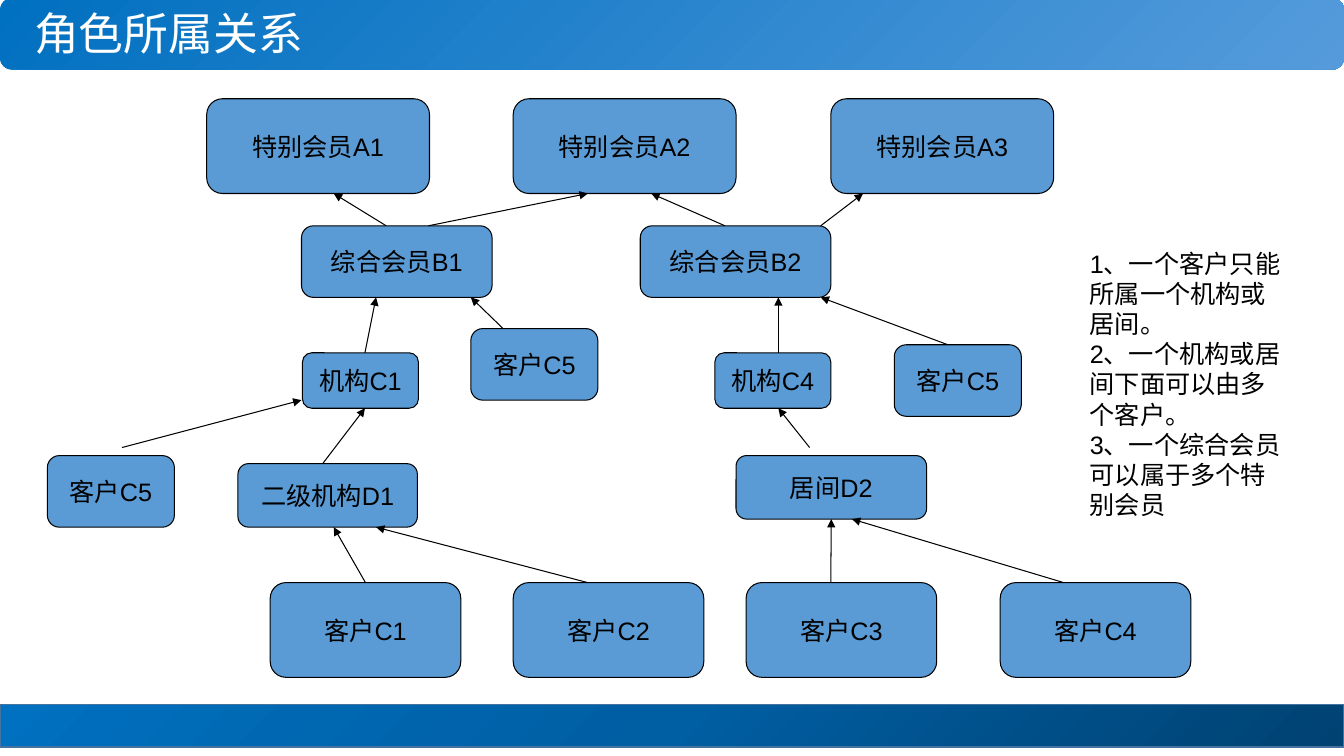
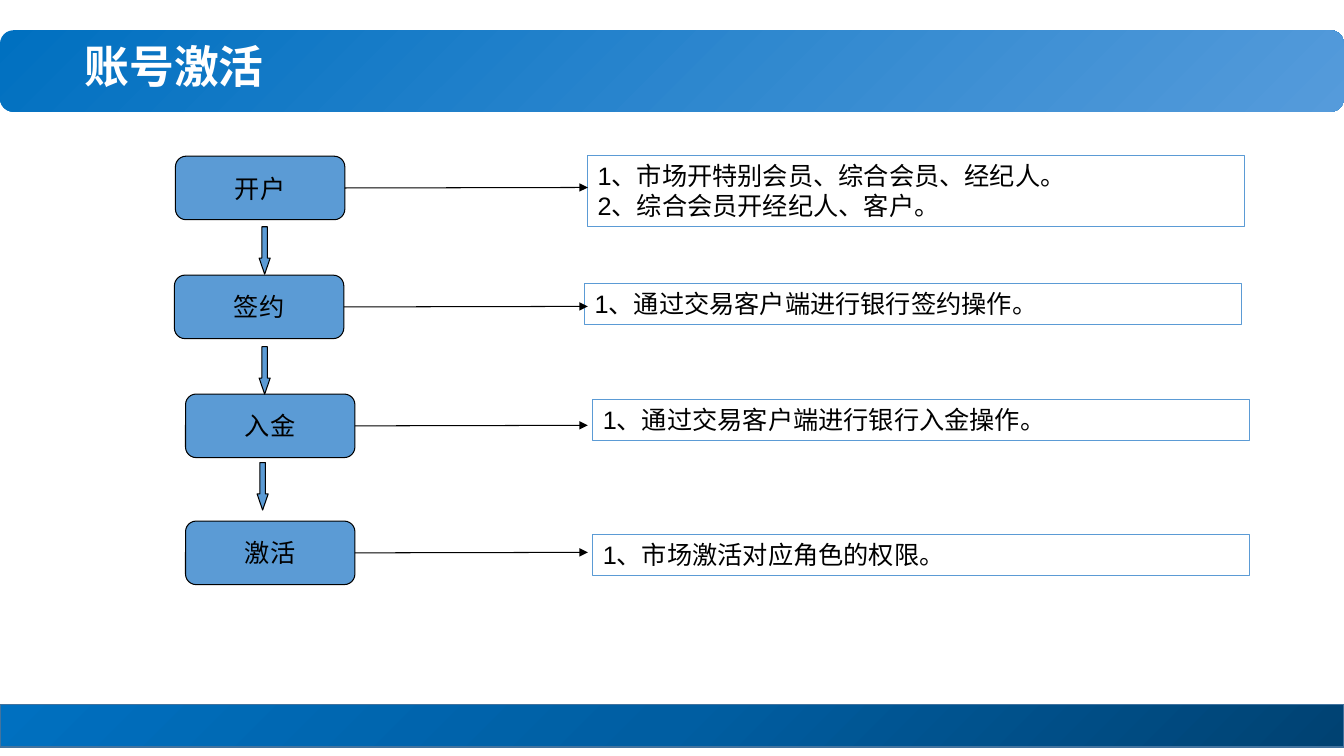
from lxml import etree
from pptx import Presentation
from pptx import util as u
from pptx.dml.color import RGBColor
from pptx.enum import shapes, text
from pptx.oxml import ns

PX = 9144  # 100 px to the inch
SLIDE_WIDTH, SLIDE_HEIGHT = 1333, 750
BLUE, BLACK, WHITE, FOOTER_EDGE = "5B9BD5", "000000", "FFFFFF", "43739E"
BAND_STOPS = [(0, "0070C0"), (100, "559BDB")]
FOOTER_STOPS = [(0, "004272"), (50, "005EA2"), (100, "0070C0")]
BAND_DIRECTION = '<a:lin ang="2700000" scaled="0"/>'
FOOTER_DIRECTION = '<a:path path="circle"><a:fillToRect l="100000" t="100000"/></a:path>'
FONT, TITLE_FONT = "Arial", "Calibri"
JOIN_DISTANCE = 2

# Rows of role boxes: top, width, height, then (label, left)
ROLE_ROWS = [
    (98, 221, 94, [("特别会员A1", 205), ("特别会员A2", 509), ("特别会员A3", 824)]),
    (224, 189, 71, [("综合会员B1", 299), ("综合会员B2", 635)]),
    (350, 115, 55, [("机构C1", 300), ("机构C4", 709)]),
    (460, 178, 63, [("二级机构D1", 236)]),
    (452, 189, 63, [("居间D2", 730)]),
    (578, 189, 94, [("客户C1", 268), ("客户C2", 509), ("客户C3", 740), ("客户C4", 992)]),
    (326, 126, 71, [("客户C5", 467)]),
    (452, 126, 71, [("客户C5", 47)]),
    (342, 126, 71, [("客户C5", 887)]),
]
ROLE_ARROWS = [
    (362, 578, 331, 523), (583, 578, 373, 523), (824, 578, 824, 515), (1055, 578, 845, 515),
    (320, 460, 362, 405), (121, 444, 299, 397), (803, 444, 772, 405),
    (362, 350, 373, 295), (499, 326, 467, 295), (772, 350, 772, 295), (940, 342, 814, 295),
    (383, 224, 331, 192), (425, 224, 583, 192), (719, 224, 646, 192), (814, 224, 856, 192),
]
ROLE_RULES = [
    "1、一个客户只能所属一个机构或居间。",
    "2、一个机构或居间下面可以由多个客户。",
    "3、一个综合会员可以属于多个特别会员",
]

# Step, box left and top, note left, top and height, note lines
STEP_SIZE, NOTE_WIDTH, ARROW_END = (168, 63), 651, 583
STEPS = [
    ("开户", 174, 155, 583, 154, 71,
     ["1、市场开特别会员、综合会员、经纪人。", "2、综合会员开经纪人、客户。"]),
    ("签约", 173, 273, 580, 281, 41, ["1、通过交易客户端进行银行签约操作。"]),
    ("入金", 184, 391, 588, 396, 41, ["1、通过交易客户端进行银行入金操作。"]),
    ("激活", 184, 517, 588, 530, 41, ["1、市场激活对应角色的权限。"]),
]
DOWN_ARROWS = [(257, 225), (257, 344), (255, 459)]


def color(value):
    return RGBColor.from_string(value)


def px(*lengths):
    return [u.Emu(length * PX) for length in lengths]


def add_shape(slide, kind, box, fill=None, line=None, weight=0.75):
    shape = slide.shapes.add_shape(kind, *px(*box))
    shape.shadow.inherit = False
    if fill:
        shape.fill.solid()
        shape.fill.fore_color.rgb = color(fill)
    else:
        shape.fill.background()
    if line:
        shape.line.color.rgb = color(line)
        shape.line.width = u.Pt(weight)
    else:
        shape.line.fill.background()
    return shape


def set_gradient(shape, stops, direction):
    marks = "".join(f'<a:gs pos="{position * 1000}"><a:srgbClr val="{value}"/></a:gs>'
                    for position, value in stops)
    properties = shape.element.spPr
    properties.replace(properties.find(ns.qn("a:noFill")), etree.fromstring(
        f'<a:gradFill {ns.nsdecls("a")} rotWithShape="1"><a:gsLst>{marks}</a:gsLst>'
        f'{direction}</a:gradFill>'))


def write(shape, lines, size=18, font=FONT, ink=BLACK, bold=False, wrap=True,
          align=text.PP_ALIGN.LEFT, anchor=text.MSO_ANCHOR.TOP, spacing=1.0):
    frame = shape.text_frame
    frame.word_wrap = wrap
    frame.vertical_anchor = anchor
    frame.text = "\n".join(lines)
    for paragraph in frame.paragraphs:
        paragraph.alignment = align
        paragraph.line_spacing = spacing
        paragraph.font.size = u.Pt(size)
        paragraph.font.name = font
        paragraph.font.bold = bold
        paragraph.font.color.rgb = color(ink)


def add_box(slide, label, *box):
    shape = add_shape(slide, shapes.MSO_SHAPE.FLOWCHART_ALTERNATE_PROCESS, box, BLUE, BLACK)
    write(shape, [label], wrap=False, align=text.PP_ALIGN.CENTER,
          anchor=text.MSO_ANCHOR.MIDDLE)
    return shape


def find_joint(x, y, boxes):
    """Return the box and side whose middle lies at the point, if any."""
    for box in boxes:
        middle_x, middle_y = box.left + box.width / 2, box.top + box.height / 2
        sides = [(middle_x, box.top), (box.left, middle_y),
                 (middle_x, box.top + box.height), (box.left + box.width, middle_y)]
        for side, (side_x, side_y) in enumerate(sides):
            if max(abs(side_x - x * PX), abs(side_y - y * PX)) < JOIN_DISTANCE * PX:
                return box, side
    return None


def add_arrow(slide, boxes, x1, y1, x2, y2):
    arrow = slide.shapes.add_connector(shapes.MSO_CONNECTOR.STRAIGHT, *px(x1, y1, x2, y2))
    arrow.line.color.rgb = color(BLACK)
    arrow.line.width = u.Pt(0.75)
    properties = arrow.element.spPr
    etree.SubElement(properties.find(ns.qn("a:ln")), ns.qn("a:tailEnd"), type="triangle")
    etree.SubElement(properties, ns.qn("a:effectLst"))
    for connect, x, y in [(arrow.begin_connect, x1, y1), (arrow.end_connect, x2, y2)]:
        joint = find_joint(x, y, boxes)
        if joint:
            connect(*joint)


def add_slide(presentation, title, band_top, band_height, title_box, bold=False):
    """Add a slide with the shared footer, title band and title."""
    slide = presentation.slides.add_slide(presentation.slide_layouts[6])
    footer = add_shape(slide, shapes.MSO_SHAPE.RECTANGLE, (0, 699, SLIDE_WIDTH, 42),
                       line=FOOTER_EDGE, weight=1)
    set_gradient(footer, FOOTER_STOPS, FOOTER_DIRECTION)
    band = add_shape(slide, shapes.MSO_SHAPE.ROUNDED_RECTANGLE,
                     (0, band_top, SLIDE_WIDTH, band_height))
    set_gradient(band, BAND_STOPS, BAND_DIRECTION)
    write(slide.shapes.add_textbox(*px(*title_box)), [title], size=32, font=TITLE_FONT,
          ink=WHITE, bold=bold, anchor=text.MSO_ANCHOR.MIDDLE, spacing=0.9)
    return slide


def build_roles(presentation):
    slide = add_slide(presentation, "角色所属关系", -2, 71, (24, -15, 927, 102))
    boxes = [add_box(slide, label, left, top, width, height)
             for top, width, height, row in ROLE_ROWS for label, left in row]
    for ends in ROLE_ARROWS:
        add_arrow(slide, boxes, *ends)
    write(slide.shapes.add_textbox(*px(1071, 241, 215, 283)), ROLE_RULES)


def build_activation(presentation):
    slide = add_slide(presentation, "账号激活", 30, 81, (74, 29, 554, 79), bold=True)
    width, height = STEP_SIZE
    for label, left, top, note_left, note_top, note_height, lines in STEPS:
        box = add_box(slide, label, left, top, width, height)
        note = add_shape(slide, shapes.MSO_SHAPE.RECTANGLE,
                         (note_left, note_top, NOTE_WIDTH, note_height), line=BLUE)
        write(note, lines)
        middle = top + height // 2
        add_arrow(slide, [box], left + width, middle, ARROW_END, middle)
    for left, top in DOWN_ARROWS:
        arrow = add_shape(slide, shapes.MSO_SHAPE.DOWN_ARROW, (left, top, 11, 47), BLUE, BLACK)
        arrow.adjustments[1] = 1.45


def main():
    presentation = Presentation()
    presentation.slide_width, presentation.slide_height = px(SLIDE_WIDTH, SLIDE_HEIGHT)
    build_roles(presentation)
    build_activation(presentation)
    presentation.save("out.pptx")


if __name__ == "__main__":
    main()
